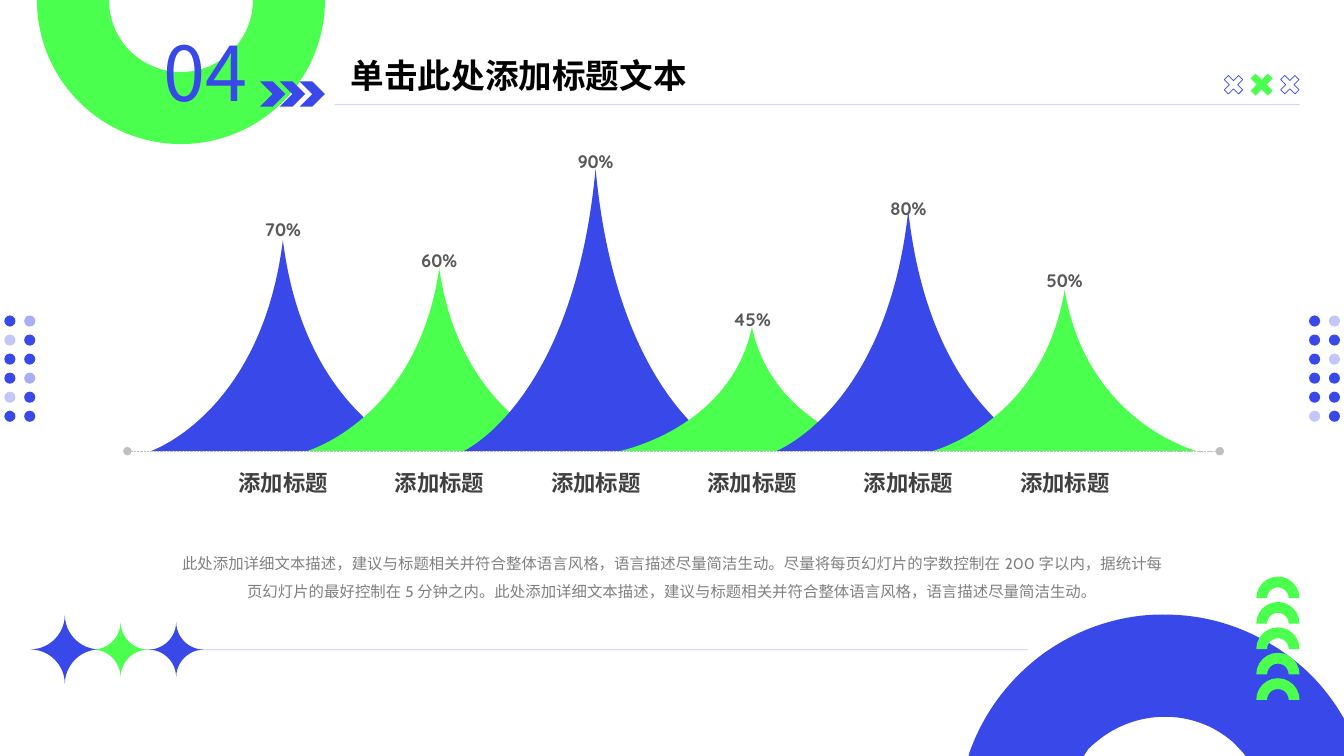
from lxml import etree
from pptx import Presentation
from pptx.dml.color import RGBColor
from pptx.enum.dml import MSO_LINE
from pptx.enum.shapes import MSO_CONNECTOR, MSO_SHAPE
from pptx.enum.text import PP_ALIGN
from pptx.oxml.ns import qn
from pptx.util import Cm, Pt

BLUE = RGBColor(0x39, 0x48, 0xE9)
GREEN = RGBColor(0x4A, 0xFF, 0x4E)
BLACK = RGBColor(0x00, 0x00, 0x00)
DARK_GRAY = RGBColor(0x40, 0x40, 0x40)
VALUE_GRAY = RGBColor(0x59, 0x59, 0x59)
BODY_GRAY = RGBColor(0x80, 0x80, 0x80)
AXIS_GRAY = RGBColor(0xBF, 0xBF, 0xBF)

BLOCK_ARC = MSO_SHAPE.BLOCK_ARC
CHEVRON = MSO_SHAPE.CHEVRON
CROSS = MSO_SHAPE.CROSS
OVAL = MSO_SHAPE.OVAL
PLAQUE = MSO_SHAPE.PLAQUE
STRAIGHT = MSO_CONNECTOR.STRAIGHT
SQUARE_DOT = MSO_LINE.SQUARE_DOT
LEFT = PP_ALIGN.LEFT
CENTER = PP_ALIGN.CENTER

CJK_FONT = "Noto Sans CJK SC"

presentation = Presentation()
presentation.slide_width = Cm(33.87)
presentation.slide_height = Cm(19.05)
slide = presentation.slides.add_slide(presentation.slide_layouts[6])


def add_square_shape(kind, left, top, size, color):
    """Add a preset shape as wide as it is high; without a color it gets a thin blue outline."""
    shape = slide.shapes.add_shape(kind, Cm(left), Cm(top), Cm(size), Cm(size))
    shape.shadow.inherit = False
    if color is None:
        shape.fill.background()
        shape.line.color.rgb = BLUE
        shape.line.width = Pt(0.5)
    else:
        shape.fill.solid()
        shape.fill.fore_color.rgb = color
        shape.line.fill.background()
    return shape


def add_text(text, left, top, width, height, size, font, color,
             bold=False, align=CENTER, spacing=1.0, wrap=True):
    box = slide.shapes.add_textbox(Cm(left), Cm(top), Cm(width), Cm(height))
    box.text_frame.word_wrap = wrap
    paragraph = box.text_frame.paragraphs[0]
    paragraph.alignment = align
    paragraph.line_spacing = spacing
    run = paragraph.add_run()
    run.text = text
    run.font.size = Pt(size)
    run.font.name = font
    run.font.bold = bold
    run.font.color.rgb = color
    etree.SubElement(run.font._element, qn("a:ea"), typeface=CJK_FONT)


# Outlines: color, start point and segments; one point is a line, three points are a curve
ring_segments = [
    [(30.66, 15.52), (31.8, 15.95), (32.74, 16.74)],
    [(33.2, 17.12), (33.58, 17.6), (33.87, 18.11)],
    [(33.87, 19.05)], [(31.39, 19.05)], [(31.37, 19.02)],
    [(31.27, 18.9), (31.17, 18.8), (31.06, 18.69)],
    [(30.12, 17.88), (28.75, 17.86), (27.76, 18.59)],
    [(27.66, 18.67), (27.53, 18.77), (27.43, 18.87)],
    [(27.31, 19.05)], [(24.41, 19.05)], [(24.43, 18.97)],
    [(24.77, 18.01), (25.37, 17.17), (26.24, 16.51)],
    [(27.2, 15.8), (28.37, 15.44), (29.51, 15.49)],
]
outlines = [(BLUE, (29.51, 15.49), ring_segments)]

# Peaks: value, height and top of the value label
PEAK_BASE, HALF_WIDTH, BEND = 11.36, 3.31, 0.54
peaks = [("70%", 5.31, 5.38), ("60%", 4.6, 6.17), ("90%", 7.11, 3.66),
         ("45%", 3.12, 7.65), ("80%", 6.05, 4.85), ("50%", 4.06, 6.67)]
peak_centers = [7.13 + 3.94 * index for index in range(len(peaks))]
for index, (value, height, label_top) in enumerate(peaks):
    center = peak_centers[index]
    right_foot = (center + HALF_WIDTH, PEAK_BASE)
    left_foot = (center - HALF_WIDTH, PEAK_BASE)
    tip = (center, PEAK_BASE - height)
    bend_top = PEAK_BASE - 0.18 * height
    outlines.append((GREEN if index % 2 else BLUE, right_foot, [
        [right_foot, (center + BEND, bend_top), tip],
        [(center - BEND, bend_top), left_foot, left_foot],
        [right_foot],
    ]))

for color, start, segments in outlines:
    builder = slide.shapes.build_freeform(Cm(start[0]), Cm(start[1]))
    builder.add_line_segments([(Cm(x), Cm(y)) for segment in segments for x, y in segment])
    outline = builder.convert_to_shape()
    outline.shadow.inherit = False
    outline.fill.solid()
    outline.fill.fore_color.rgb = color
    outline.line.fill.background()
    line_steps = iter(list(outline._element.iter(qn("a:lnTo"))))
    for segment in segments:
        steps = [next(line_steps) for point in segment]
        if len(steps) == 3:
            curve = etree.Element(qn("a:cubicBezTo"))
            steps[0].addprevious(curve)
            for step in steps:
                curve.append(step[0])
                step.getparent().remove(step)

# Corner decorations
green_ring = add_square_shape(BLOCK_ARC, 0.93, -3.63, 7.26, GREEN)
green_ring.rotation = 180
for index in range(5):
    add_square_shape(BLOCK_ARC, 31.66, 14.53 + 0.64 * index, 1.09, GREEN)
for index in range(3):
    add_square_shape(CHEVRON, 6.55 + 0.5 * index, 2.05, 0.64, BLUE)
for left, top, size, color in [(30.83, 1.88, 0.51, None), (31.49, 1.83, 0.61, GREEN),
                               (32.25, 1.88, 0.51, None)]:
    cross = add_square_shape(CROSS, left, top, size, color)
    cross.adjustments[0] = 0.356
    cross.rotation = 45

# Dot grids: opacity in percent of the pale dots by (row, column)
dot_grids = [(0.11, {(0, 1): 44, (1, 0): 30, (3, 1): 44, (4, 0): 30}),
             (32.99, {(0, 1): 30, (2, 1): 30, (5, 0): 30})]
translucent = []
for grid_left, pale_dots in dot_grids:
    for row in range(6):
        for column in range(2):
            dot = add_square_shape(OVAL, grid_left + 0.5 * column, 7.95 + 0.48 * row, 0.28, BLUE)
            if (row, column) in pale_dots:
                translucent.append((dot, pale_dots[row, column]))

# Title rule, footer rule and chart axis
for left, right, y, color, width in [(8.43, 32.75, 2.64, BLUE, 0.5),
                                     (1.22, 25.89, 16.37, BLUE, 0.5),
                                     (3.21, 30.74, 11.37, AXIS_GRAY, 0.25)]:
    rule = slide.shapes.add_connector(STRAIGHT, Cm(left), Cm(y), Cm(right), Cm(y))
    rule.line.color.rgb = color
    rule.line.width = Pt(width)
    etree.SubElement(rule._element.spPr, qn("a:effectLst"))
    if color == BLUE:
        translucent.append((rule, 33))
    else:
        rule.line.dash_style = SQUARE_DOT
        for end in ("a:headEnd", "a:tailEnd"):
            etree.SubElement(rule.line._get_or_add_ln(), qn(end), type="oval")

for shape, opacity in translucent:
    for color_element in shape._element.spPr.iter(qn("a:srgbClr")):
        etree.SubElement(color_element, qn("a:alpha"), val=str(opacity * 1000))

# Stars on the footer rule
for left, top, size, color in [(0.76, 15.49, 1.75, BLUE), (3.74, 15.67, 1.4, BLUE),
                               (2.34, 15.67, 1.4, GREEN)]:
    star = add_square_shape(PLAQUE, left, top, size, color)
    star.adjustments[0] = 0.5

# Texts
add_text("04", 3.86, 0.53, 2.79, 2.57, 54, CJK_FONT, BLUE, align=LEFT, wrap=False)
add_text("单击此处添加标题文本", 8.59, 1.25, 10.08, 1.27, 24, "Cabin", BLACK,
         bold=True, align=LEFT)
for center, (value, height, label_top) in zip(peak_centers, peaks):
    add_text(value, center - 1.18, label_top, 2.36, 0.74, 12.9, "Quicksand", VALUE_GRAY,
             bold=True, wrap=False)
    add_text("添加标题", center - 1.76, 11.57, 3.53, 1.04, 16, "Noto Sans CJK JP", DARK_GRAY,
             bold=True, spacing=1.2)
add_text("此处添加详细文本描述，建议与标题相关并符合整体语言风格，语言描述尽量简洁生动。"
         "尽量将每页幻灯片的字数控制在200字以内，据统计每页幻灯片的最好控制在5分钟之内。"
         "此处添加详细文本描述，建议与标题相关并符合整体语言风格，语言描述尽量简洁生动。",
         4.19, 13.61, 25.5, 1.6, 11, "Cabin", BODY_GRAY, spacing=1.5)

presentation.save("out.pptx")
